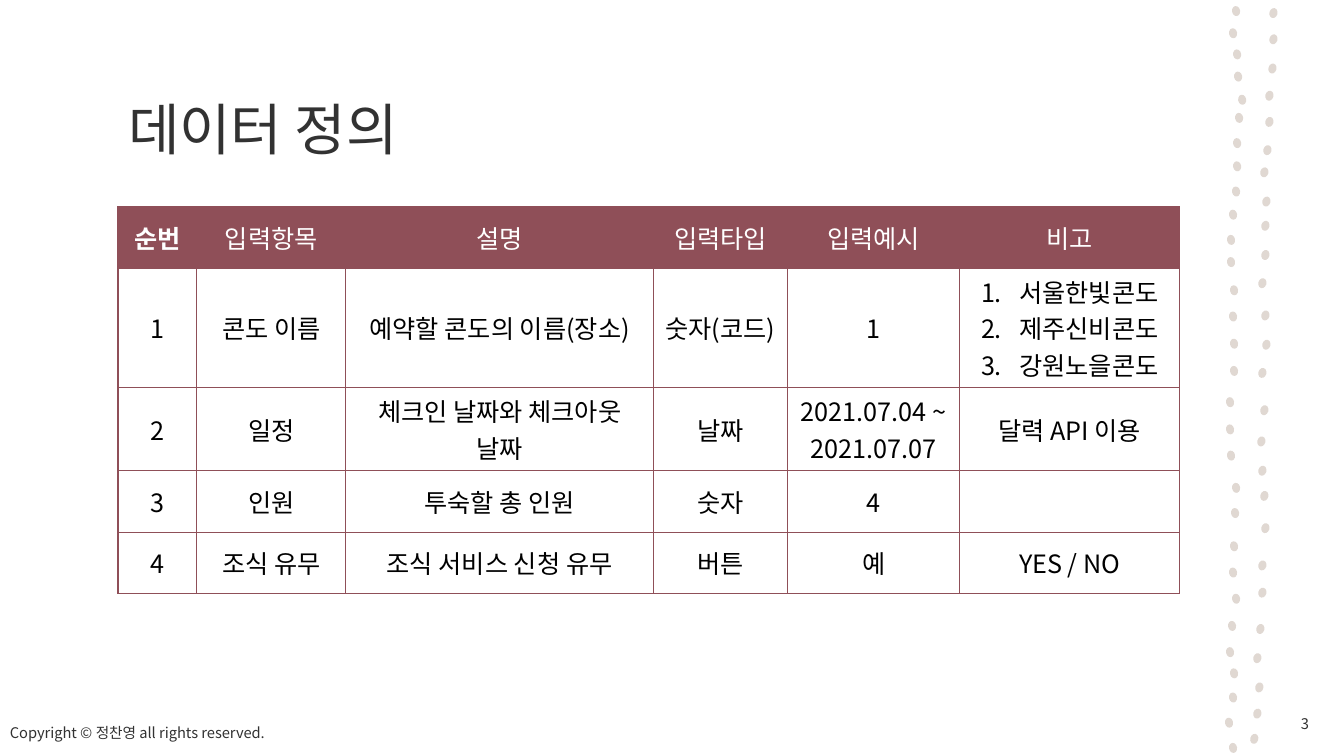
from dataclasses import dataclass

from lxml.etree import SubElement
from pptx import Presentation
from pptx.dml.color import RGBColor as Rgb
from pptx.enum.shapes import MSO_SHAPE as Preset
from pptx.enum.text import MSO_ANCHOR as Anchor, PP_ALIGN as Align
from pptx.oxml.ns import qn
from pptx.util import Inches, Pt


@dataclass(frozen=True)
class Theme:
    font: str = "Noto Sans CJK KR"
    ink: str = "323232"
    black: str = "000000"
    white: str = "FFFFFF"
    wine: str = "8F4F58"
    sand: str = "E0D8D2"
    title_size: float = 40
    table_size: float = 18
    small_size: float = 10.5


HEADER = ["순번", "입력항목", "설명", "입력타입", "입력예시", "비고"]
ROWS = [
    ["1", "콘도 이름", "예약할 콘도의 이름(장소)", "숫자(코드)", "1",
     ["서울한빛콘도", "제주신비콘도", "강원노을콘도"]],
    ["2", "일정", "체크인 날짜와 체크아웃 날짜", "날짜",
     ["2021.07.04 ~", "2021.07.07"], "달력 API 이용"],
    ["3", "인원", "투숙할 총 인원", "숫자", "4", ""],
    ["4", "조식 유무", "조식 서비스 신청 유무", "버튼", "예", "YES / NO"],
]
COLUMN_WIDTHS = [0.78, 1.48, 3.05, 1.33, 1.71, 2.18]
ROW_HEIGHT = 0.61
NUMBERED_CELL = (1, 5)

LEFT_DOTS = [
    (12.26, 0.11), (12.23, 0.33), (12.27, 0.54), (12.28, 0.76), (12.32, 0.99),
    (12.29, 1.17), (12.27, 1.42), (12.27, 1.65), (12.26, 1.9), (12.23, 2.13),
    (12.21, 2.38), (12.21, 2.6), (12.24, 2.88), (12.23, 3.14), (12.24, 3.41),
    (12.24, 3.68), (12.2, 3.99), (12.2, 4.26), (12.21, 4.52), (12.26, 4.84),
    (12.25, 5.09), (12.24, 5.42), (12.23, 5.68), (12.26, 5.94), (12.22, 6.21),
    (12.2, 6.47), (12.24, 6.68), (12.23, 6.92), (12.19, 7.17), (12.23, 7.42),
]
RIGHT_DOTS = [
    (12.63, 0.13), (12.63, 0.39), (12.62, 0.68), (12.59, 0.95), (12.59, 1.21),
    (12.57, 1.49), (12.54, 1.71), (12.56, 2), (12.55, 2.24), (12.55, 2.53),
    (12.52, 2.81), (12.55, 3.13), (12.56, 3.42), (12.52, 3.7), (12.54, 4.07),
    (12.51, 4.38), (12.52, 4.67), (12.54, 4.92), (12.55, 5.24), (12.52, 5.61),
    (12.52, 5.88), (12.5, 6.24), (12.47, 6.53), (12.49, 6.82), (12.47, 7.08),
    (12.44, 7.33),
]


class SlideBuilder:
    def __init__(self, slide, theme):
        self.slide = slide
        self.theme = theme

    def fill_text(self, frame, lines, size, color, align=Align.LEFT, bold=False):
        frame_format = {"word_wrap": True, "vertical_anchor": Anchor.MIDDLE}
        for name, value in frame_format.items():
            setattr(frame, name, value)
        font_format = {"name": self.theme.font, "size": Pt(size), "bold": bold}
        for index, line in enumerate(lines):
            para = frame.add_paragraph() if index else frame.paragraphs[0]
            para.alignment = align
            span = para.add_run()
            span.text = line
            for name, value in font_format.items():
                setattr(span.font, name, value)
            span.font.color.rgb = Rgb.from_string(color)
            east_asian = SubElement(span.font._element, qn("a:ea"))
            east_asian.set("typeface", self.theme.font)

    def title(self, text, left, top, width, height):
        box = self.slide.shapes.title
        place = {"left": left, "top": top, "width": width, "height": height}
        for name, value in place.items():
            setattr(box, name, Inches(value))
        self.fill_text(box.text_frame, [text], self.theme.title_size, self.theme.ink)

    def label(self, text, left, top, width, height, align=Align.LEFT):
        place = map(Inches, (left, top, width, height))
        box = self.slide.shapes.add_textbox(*place)
        self.fill_text(box.text_frame, [text], self.theme.small_size, self.theme.ink, align)

    def dots(self, centers, tilt, width=0.08, height=0.1):
        for x, y in centers:
            place = map(Inches, (x - width / 2, y - height / 2, width, height))
            dot = self.slide.shapes.add_shape(Preset.OVAL, *place)
            dot.rotation = tilt
            dot.shadow.inherit = False
            dot.fill.solid()
            dot.fill.fore_color.rgb = Rgb.from_string(self.theme.sand)
            dot.line.fill.background()

    def border(self, cell):
        properties = cell._tc.get_or_add_tcPr()
        for index, side in enumerate(("lnL", "lnR", "lnT", "lnB")):
            line = properties.makeelement(qn(f"a:{side}"), {"w": str(Pt(1))})
            fill = SubElement(line, qn("a:solidFill"))
            SubElement(fill, qn("a:srgbClr")).set("val", self.theme.wine)
            properties.insert(index, line)

    def number(self, cell):
        for para in cell.text_frame.paragraphs:
            properties = para._p.get_or_add_pPr()
            properties.set("marL", str(Inches(0.38)))
            properties.set("indent", str(Inches(-0.38)))
            SubElement(properties, qn("a:buFont")).set("typeface", "+mj-lt")
            SubElement(properties, qn("a:buAutoNum")).set("type", "arabicPeriod")

    def table(self, left, top):
        rows = [HEADER, *ROWS]
        size = sum(COLUMN_WIDTHS), ROW_HEIGHT * len(rows)
        place = map(Inches, (left, top, *size))
        table = self.slide.shapes.add_table(len(rows), len(HEADER), *place).table
        table.horz_banding = False
        for column, width in zip(table.columns, COLUMN_WIDTHS):
            column.width = Inches(width)
        for row_index, row in enumerate(rows):
            table.rows[row_index].height = Inches(ROW_HEIGHT)
            for column_index, content in enumerate(row):
                self.cell(table.cell(row_index, column_index), content,
                          row_index == 0, column_index == 0)
        self.number(table.cell(*NUMBERED_CELL))

    def cell(self, cell, content, is_header, is_first):
        theme = self.theme
        color = theme.white if is_header else theme.black
        lines = [content] if isinstance(content, str) else content
        self.fill_text(cell.text_frame, lines, theme.table_size, color,
                       Align.CENTER, is_header and is_first)
        cell.vertical_anchor = Anchor.MIDDLE
        cell.fill.solid()
        cell.fill.fore_color.rgb = Rgb.from_string(theme.wine if is_header else theme.white)
        self.border(cell)


def main():
    deck = Presentation()
    deck.slide_width = Inches(13.33)
    deck.slide_height = Inches(7.5)
    page = SlideBuilder(deck.slides.add_slide(deck.slide_layouts[5]), Theme())
    page.dots(LEFT_DOTS, -10)
    page.dots(RIGHT_DOTS, 15)
    page.title("데이터 정의", 1.17, 0.55, 10.54, 1.45)
    page.table(1.17, 2.05)
    page.label("3", 12.53, 6.98, 0.55, 0.4, Align.RIGHT)
    page.label("Copyright © 정찬영 all rights reserved.", 0, 7.04, 4.55, 0.46)
    deck.save("out.pptx")


if __name__ == "__main__":
    main()
